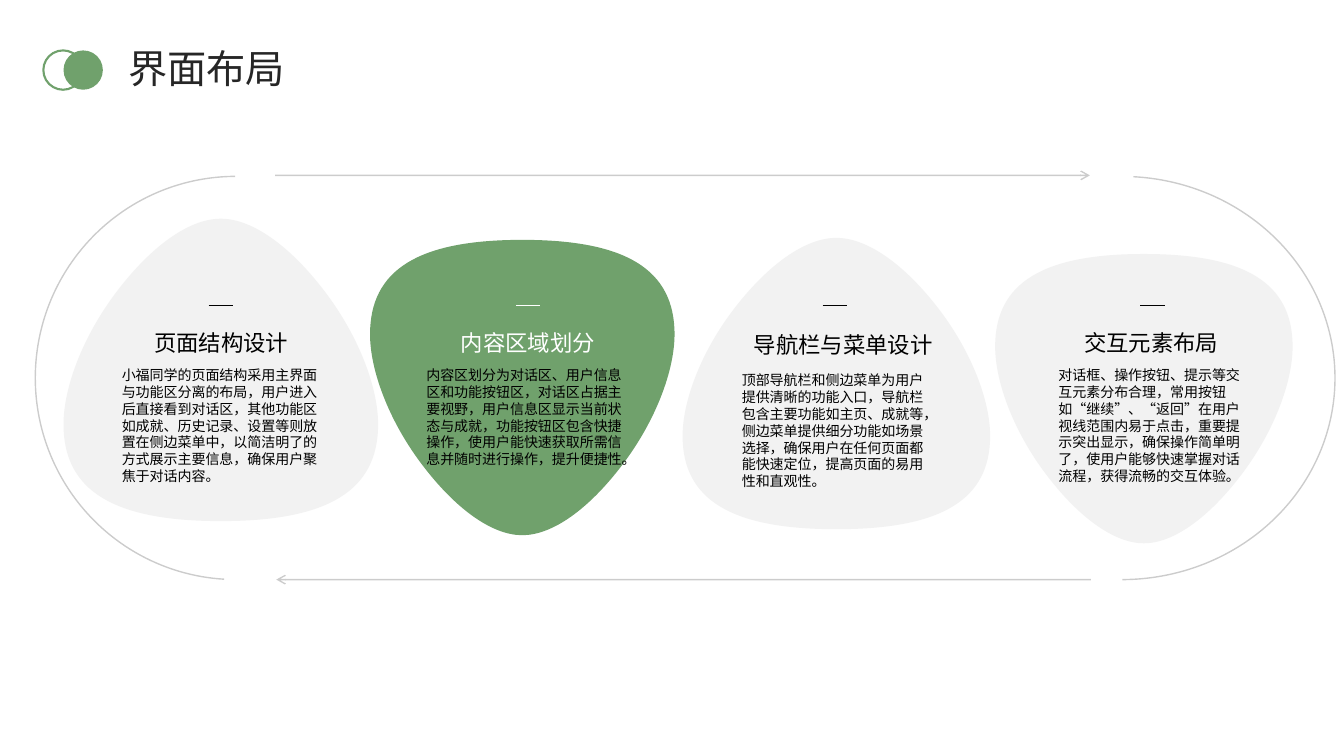
"""Build the interface layout slide: four petals inside a looping track."""
from dataclasses import dataclass

import lxml.etree
import pptx
import pptx.dml.color
import pptx.enum.shapes
import pptx.enum.text
import pptx.oxml.ns
import pptx.util

Inches = pptx.util.Inches
Pt = pptx.util.Pt
RGBColor = pptx.dml.color.RGBColor
MSO_SHAPE = pptx.enum.shapes.MSO_SHAPE
PP_ALIGN = pptx.enum.text.PP_ALIGN
MSO_ANCHOR = pptx.enum.text.MSO_ANCHOR
qn = pptx.oxml.ns.qn

BLACK = RGBColor(0x00, 0x00, 0x00)
WHITE = RGBColor(0xFF, 0xFF, 0xFF)
GREEN = RGBColor(0x70, 0xA1, 0x6C)
GREY = RGBColor(0xF2, 0xF2, 0xF2)
DARK = RGBColor(0x26, 0x26, 0x26)
FONT = "Noto Sans CJK SC"

HALF_PETAL = [(0.5, 0), (0.16, 0), (0, 0.1), (0, 0.32), (0, 0.44),
              (0.06, 0.61), (0.17, 0.76), (0.28, 0.91), (0.4, 1), (0.5, 1)]
PETAL = HALF_PETAL + [(1 - x, y) for x, y in HALF_PETAL[-2::-1]]


@dataclass
class Box:
    x: float
    y: float
    w: float
    h: float

    def lengths(self) -> list[int]:
        return [Inches(v) for v in (self.x, self.y, self.w, self.h)]


@dataclass
class Card:
    petal: Box
    tip_up: bool
    dash_x: float
    title_box: Box
    title: str
    body_box: Box
    body: str
    fill: RGBColor = GREY
    accent: RGBColor = BLACK


CARDS = [
    Card(Box(0.63, 2.17, 3.12, 3), True, 2.07,
         Box(1.21, 3.26, 1.97, 0.27), "页面结构设计", Box(1.11, 3.59, 2.17, 1.23),
         "小福同学的页面结构采用主界面与功能区分离的布局，用户进入后直接看到对话区，"
         "其他功能区如成就、历史记录、设置等则放置在侧边菜单中，以简洁明了的方式展示"
         "主要信息，确保用户聚焦于对话内容。"),
    Card(Box(3.67, 2.38, 3.02, 2.93), False, 5.12,
         Box(4.25, 3.26, 1.97, 0.27), "内容区域划分", Box(4.13, 3.59, 2.22, 1.11),
         "内容区划分为对话区、用户信息区和功能按钮区，对话区占据主要视野，用户信息区"
         "显示当前状态与成就，功能按钮区包含快捷操作，使用户能快速获取所需信息并随时"
         "进行操作，提升便捷性。", GREEN, WHITE),
    Card(Box(6.77, 2.36, 3.05, 2.89), True, 8.16,
         Box(7.38, 3.28, 1.97, 0.27), "导航栏与菜单设计", Box(7.26, 3.64, 2.07, 1.28),
         "顶部导航栏和侧边菜单为用户提供清晰的功能入口，导航栏包含主要功能如主页、"
         "成就等，侧边菜单提供细分功能如场景选择，确保用户在任何页面都能快速定位，"
         "提高页面的易用性和直观性。"),
    Card(Box(9.87, 2.52, 2.95, 2.87), False, 11.31,
         Box(10.29, 3.26, 2.26, 0.27), "交互元素布局", Box(10.4, 3.59, 2.07, 1.28),
         "对话框、操作按钮、提示等交互元素分布合理，常用按钮如“继续”、“返回”在用户"
         "视线范围内易于点击，重要提示突出显示，确保操作简单明了，使用户能够快速掌握"
         "对话流程，获得流畅的交互体验。"),
]


def set_line(line, color: RGBColor, width: float = 1, faint: bool = False) -> None:
    line.color.rgb = color
    line.width = Pt(width)
    if faint:
        srgb = line.fill._xPr.find(".//" + qn("a:srgbClr"))
        lxml.etree.SubElement(srgb, qn("a:alpha"), val="20000")


def add_line(s, x1: float, x2: float, y: float, color: RGBColor, arrow: bool = False) -> None:
    c = s.shapes.add_connector(pptx.enum.shapes.MSO_CONNECTOR.STRAIGHT,
                               Inches(x1), Inches(y), Inches(x2), Inches(y))
    set_line(c.line, color, faint=arrow)
    if arrow:
        lxml.etree.SubElement(c.line._get_or_add_ln(), qn("a:tailEnd"), type="arrow")
    lxml.etree.SubElement(c._element.spPr, qn("a:effectLst"))


def add_arc(s, box: Box, rotation: int) -> None:
    sp = s.shapes.add_shape(MSO_SHAPE.ARC, *box.lengths())
    sp.shadow.inherit = False
    sp.adjustments[0], sp.adjustments[1] = 56, 161.88
    sp.rotation = rotation
    sp.fill.background()
    set_line(sp.line, BLACK, faint=True)


def add_petal(s, box: Box, tip_up: bool, fill: RGBColor) -> None:
    points = [(Inches(box.x + box.w * x), Inches(box.y + box.h * (1 - y if tip_up else y)))
              for x, y in PETAL]
    builder = s.shapes.build_freeform(*points[0], scale=1.0)
    builder.add_line_segments(points[1:], close=True)
    sp = builder.convert_to_shape()
    segments = sp._element.findall(".//" + qn("a:lnTo"))
    for i in range(0, len(PETAL) - 1, 3):
        curve = lxml.etree.Element(qn("a:cubicBezTo"))
        segments[i].addprevious(curve)
        for segment in segments[i:i + 3]:
            curve.append(segment[0])
            segment.getparent().remove(segment)
    sp.shadow.inherit = False
    sp.fill.solid()
    sp.fill.fore_color.rgb = fill
    sp.line.fill.background()


def add_text(s, box: Box, text: str, size: int, color: RGBColor,
             align: PP_ALIGN = PP_ALIGN.LEFT, heading: bool = True) -> None:
    tf = s.shapes.add_textbox(*box.lengths()).text_frame
    tf.word_wrap = True
    p = tf.paragraphs[0]
    p.text = text
    p.alignment = align
    if heading:
        tf.margin_left = tf.margin_right = tf.margin_top = tf.margin_bottom = 0
        tf.vertical_anchor = MSO_ANCHOR.MIDDLE
    else:
        p.line_spacing = Pt(12)
    p.font.size = Pt(size)
    p.font.color.rgb = color
    p.font.name = FONT
    lxml.etree.SubElement(p.font._element, qn("a:ea"), typeface=FONT)


def add_card(s, card: Card) -> None:
    add_petal(s, card.petal, card.tip_up, card.fill)
    add_line(s, card.dash_x, card.dash_x + 0.24, 3.03, card.accent)
    add_text(s, card.title_box, card.title, 16, card.accent, PP_ALIGN.CENTER)
    add_text(s, card.body_box, card.body, 10, BLACK, heading=False)


def add_header(s) -> None:
    add_text(s, Box(1.27, 0.44, 10.92, 0.47), "界面布局", 28, DARK)
    for x, filled in ((0.43, False), (0.63, True)):
        sp = s.shapes.add_shape(MSO_SHAPE.OVAL, *Box(x, 0.5, 0.39, 0.39).lengths())
        sp.shadow.inherit = False
        if filled:
            sp.fill.solid()
            sp.fill.fore_color.rgb = GREEN
            sp.line.fill.background()
        else:
            sp.fill.background()
            set_line(sp.line, GREEN, 1.5)


def main() -> None:
    prs = pptx.Presentation()
    prs.slide_width, prs.slide_height = Inches(13.33), Inches(7.5)
    s = prs.slides.add_slide(prs.slide_layouts[6])
    add_arc(s, Box(0.35, 1.75, 3.98, 4), 0)
    add_line(s, 2.73, 10.81, 1.74, BLACK, arrow=True)
    add_arc(s, Box(9.01, 1.75, 4.23, 4), 180)
    add_line(s, 10.82, 2.74, 5.75, BLACK, arrow=True)
    for card in CARDS:
        add_card(s, card)
    add_header(s)
    prs.save("out.pptx")


if __name__ == "__main__":
    main()
